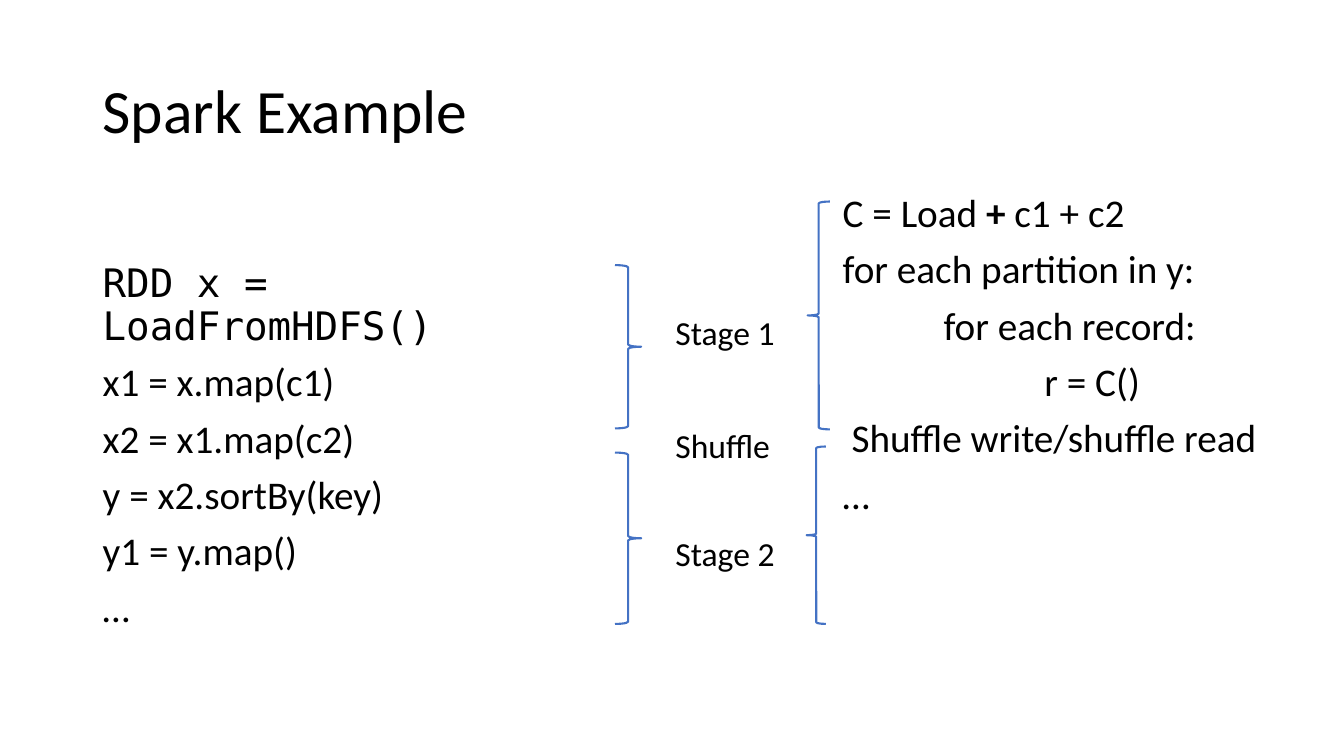
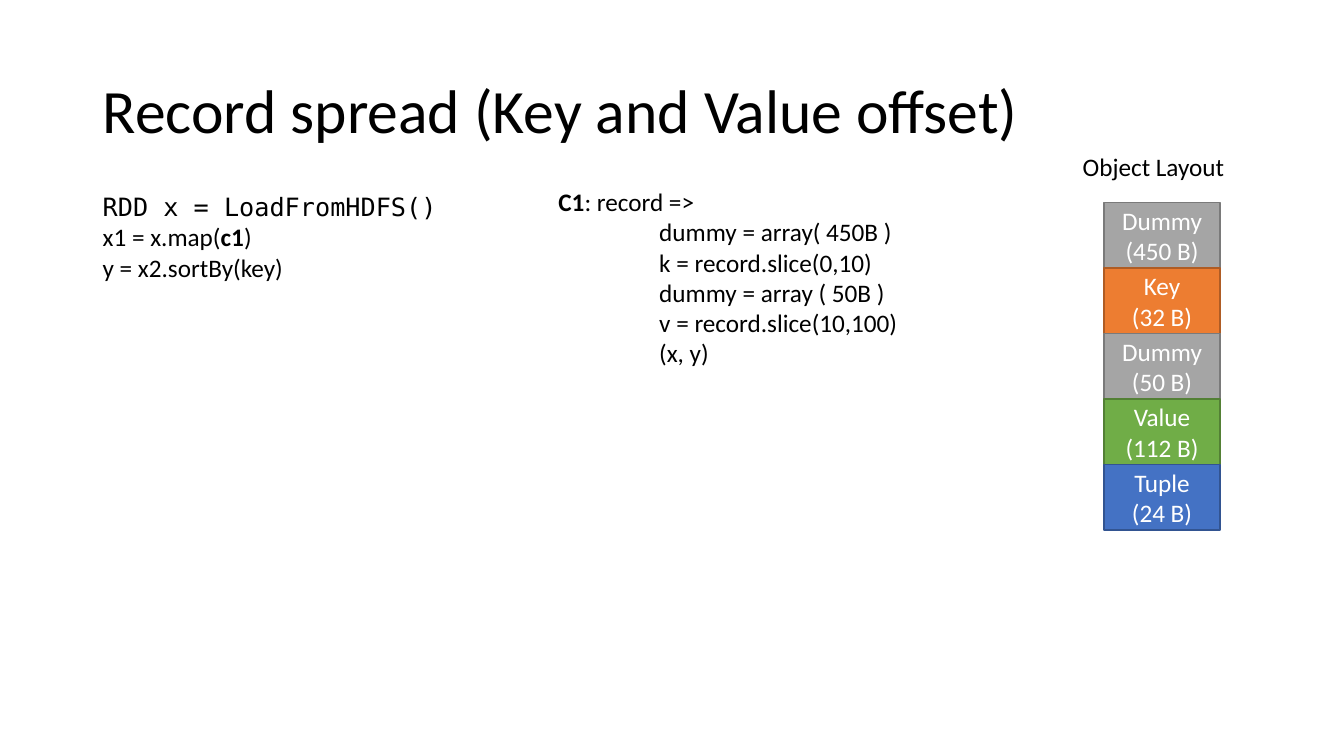
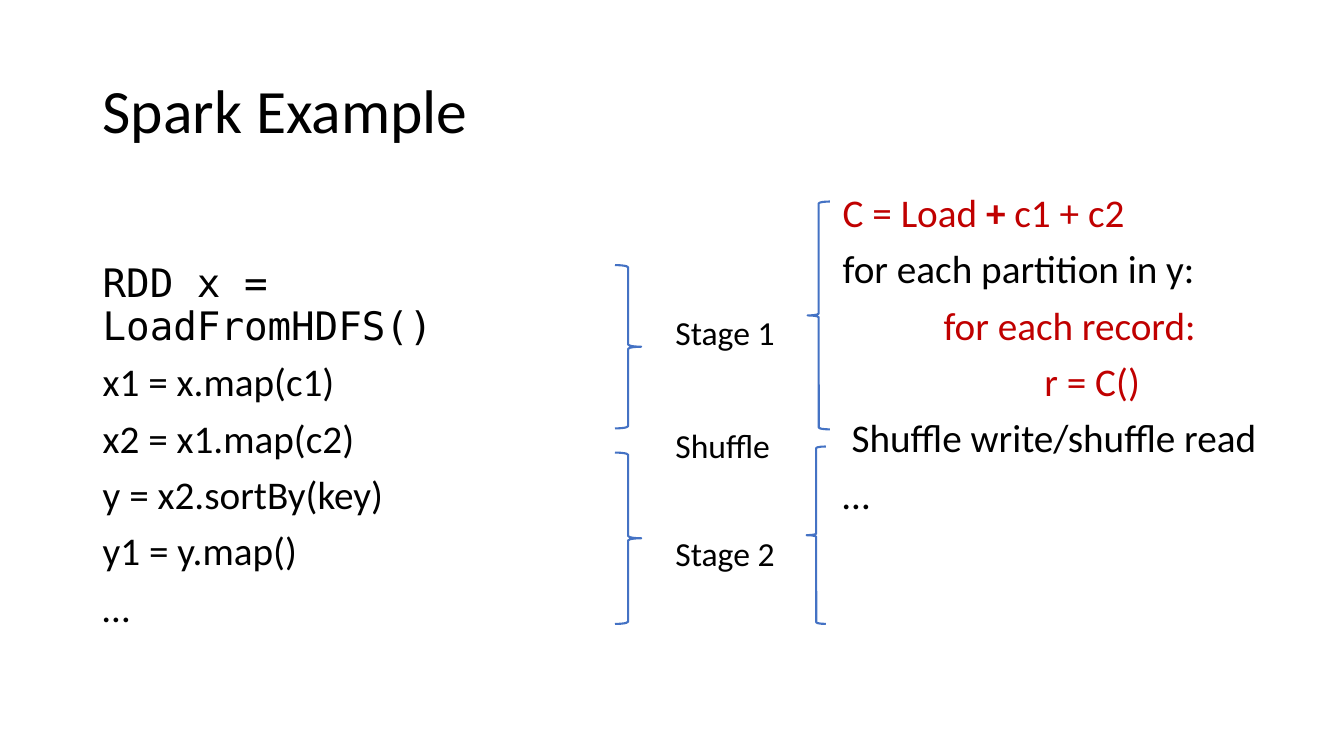
from pptx import Presentation
from pptx.dml.color import RGBColor
from pptx.enum import shapes, text
from pptx.util import Inches, Pt

# Shared style
BLACK = RGBColor(0x00, 0x00, 0x00)
WHITE = RGBColor(0xFF, 0xFF, 0xFF)
RED = RGBColor(0xC0, 0x00, 0x00)
BLUE = RGBColor(0x44, 0x72, 0xC4)
BLUE_EDGE = RGBColor(0x32, 0x54, 0x91)
GREY = RGBColor(0xA5, 0xA5, 0xA5)
GREY_EDGE = RGBColor(0x7A, 0x7A, 0x7A)
ORANGE = RGBColor(0xED, 0x7D, 0x31)
ORANGE_EDGE = RGBColor(0xAF, 0x5C, 0x24)
GREEN = RGBColor(0x70, 0xAD, 0x47)
GREEN_EDGE = RGBColor(0x53, 0x80, 0x35)
SANS = "Calibri"
MONO = "DejaVu Sans Mono"
LEFT = 0.92
LOAD = "RDD x = LoadFromHDFS()"


def add_run(p, words, size, color=BLACK, font=SANS, bold=False):
    r = p.add_run()
    r.text = words
    r.font.size = Pt(size)
    r.font.name = font
    r.font.bold = bold
    r.font.color.rgb = color


def next_paragraph(tf, index):
    return tf.paragraphs[0] if index == 0 else tf.add_paragraph()


def line(*runs, indent=0, color=BLACK, font=SANS):
    """One text line; each run is a string, or a (string, bold) pair."""
    pairs = [(r, False) if isinstance(r, str) else r for r in runs]
    return pairs, indent, color, font


def add_text(s, box, lines, size, spacing=None, before=None, top=0.05,
             wrap=True, anchor=text.MSO_ANCHOR.TOP):
    tf = s.shapes.add_textbox(*map(Inches, box)).text_frame
    tf.word_wrap = wrap
    tf.vertical_anchor = anchor
    tf.margin_top = Inches(top)
    for i, (runs, indent, color, font) in enumerate(lines):
        p = next_paragraph(tf, i)
        if spacing:
            p.line_spacing = spacing
        if before:
            p.space_before = Pt(before)
        if indent:
            p._p.get_or_add_pPr().set("marL", str(Inches(indent)))
        for words, bold in runs:
            add_run(p, words, size, color, font, bold)


def add_slide(prs, title):
    s = prs.slides.add_slide(prs.slide_layouts[6])
    add_text(s, (LEFT, 0.4, 11.5, 1.45), [line(title)], 44, spacing=0.9,
             anchor=text.MSO_ANCHOR.MIDDLE)
    return s


def add_brace(s, kind, box):
    sp = s.shapes.add_shape(kind, *map(Inches, box))
    sp.shadow.inherit = False
    sp.fill.background()
    sp.line.color.rgb = BLUE
    sp.line.width = Pt(1.5)


def add_block(s, box, name, size, fill, edge):
    sp = s.shapes.add_shape(shapes.MSO_SHAPE.RECTANGLE, *map(Inches, box))
    sp.shadow.inherit = False
    sp.fill.solid()
    sp.fill.fore_color.rgb = fill
    sp.line.color.rgb = edge
    sp.line.width = Pt(1)
    tf = sp.text_frame
    tf.vertical_anchor = text.MSO_ANCHOR.MIDDLE
    for i, words in enumerate((name, f"({size} B)")):
        p = next_paragraph(tf, i)
        p.alignment = text.PP_ALIGN.CENTER
        add_run(p, words, 18, WHITE)


def stages_slide(prs, accent):
    """Program, its stages and the executed loop; accent marks the costly lines."""
    s = add_slide(prs, "Spark Example")
    program = [line(LOAD, font=MONO)]
    program += [line(t) for t in ("x1 = x.map(c1)", "x2 = x1.map(c2)",
                                  "y = x2.sortBy(key)", "y1 = y.map()", "…")]
    add_text(s, (LEFT, 2, 5.18, 4.76), program, 28, 0.9, 10, top=0.62)

    # Stages
    for top, height in ((2.63, 1.62), (4.49, 1.7)):
        add_brace(s, shapes.MSO_SHAPE.RIGHT_BRACE, (6.1, top, 0.26, height))
    for label, top in (("Stage 1", 3.05), ("Shuffle", 4.17), ("Stage 2", 5.24)):
        add_text(s, (6.6, top, 1.19, 0.5), [line(label)], 24, wrap=False)

    # Execution
    execution = [
        line("C = Load ", ("+", True), " c1 + c2", color=accent),
        line("for each partition in y:"),
        line("for each record:", indent=1, color=accent),
        line("r = C()", indent=2, color=accent),
        line(" Shuffle write/shuffle read"),
        line("…"),
    ]
    add_text(s, (8.26, 1.87, 5.18, 4.76), execution, 28, 0.9, 10)
    for box in ((8.01, 2, 0.22, 2.26), (8, 4.43, 0.19, 1.76)):
        add_brace(s, shapes.MSO_SHAPE.LEFT_BRACE, box)


def layout_slide(prs):
    s = add_slide(prs, "Record spread (Key and Value offset)")
    program = [line(LOAD, font=MONO),
               line("x1 = x.map(", ("c1", True), ") "),
               line("y = x2.sortBy(key)")]
    add_text(s, (LEFT, 1.85, 3.96, 1.01), program, 18)

    # Map function
    steps = ("dummy = array( 450B )", "k = record.slice(0,10)",
             "dummy = array ( 50B )", "v = record.slice(10,100)", "(x, y)")
    function = [line(("C1", True), ": record => ")]
    function += [line(t, indent=1) for t in steps]
    add_text(s, (5.44, 1.5, 5, 2.22), function, 18, top=0.35)

    # Memory blocks
    add_text(s, (10.64, 1.45, 1.62, 0.4), [line("Object Layout")], 18, wrap=False)
    blocks = (("Dummy", 450, GREY, GREY_EDGE), ("Key", 32, ORANGE, ORANGE_EDGE),
              ("Dummy", 50, GREY, GREY_EDGE), ("Value", 112, GREEN, GREEN_EDGE),
              ("Tuple", 24, BLUE, BLUE_EDGE))
    height = 0.65
    for i, block in enumerate(blocks):
        add_block(s, (10.95, 2.01 + i * height, 1.15, height), *block)


def main():
    prs = Presentation()
    prs.slide_width, prs.slide_height = Inches(13.33), Inches(7.5)
    stages_slide(prs, BLACK)
    layout_slide(prs)
    stages_slide(prs, RED)
    prs.save("out.pptx")


main()
